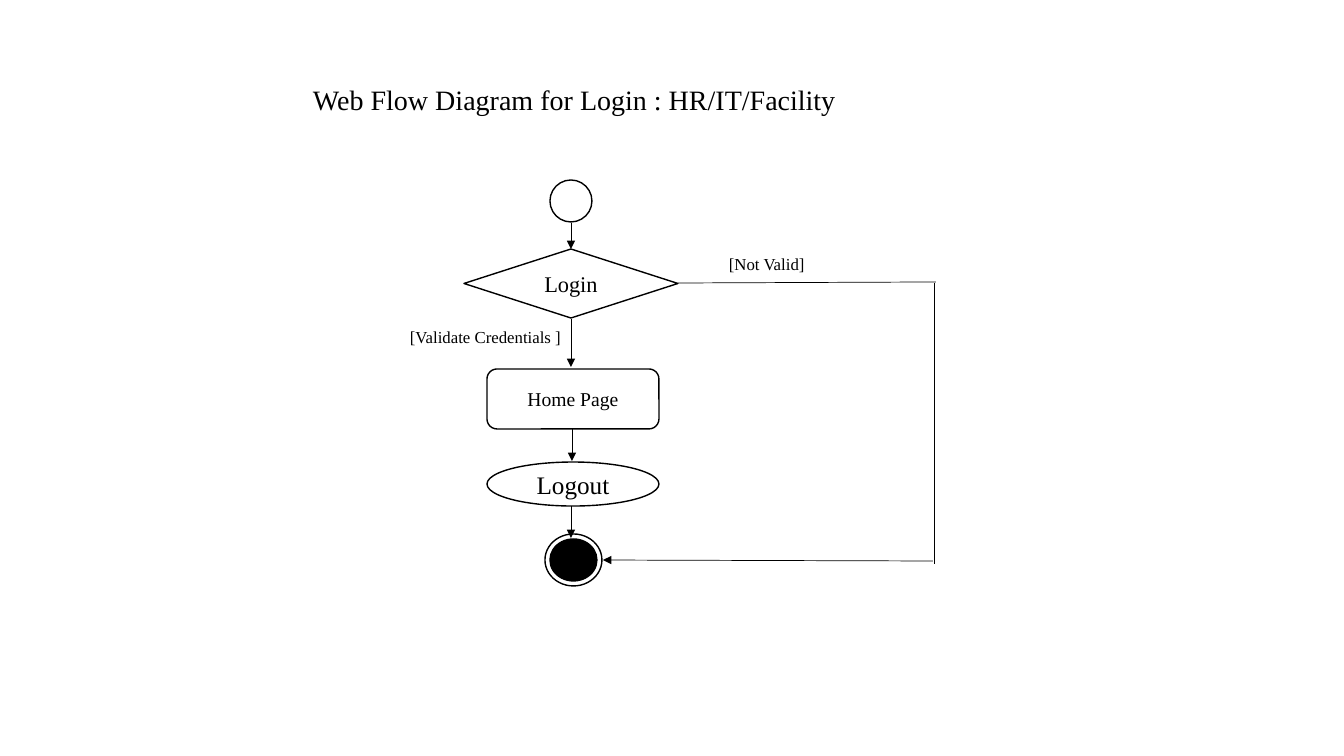
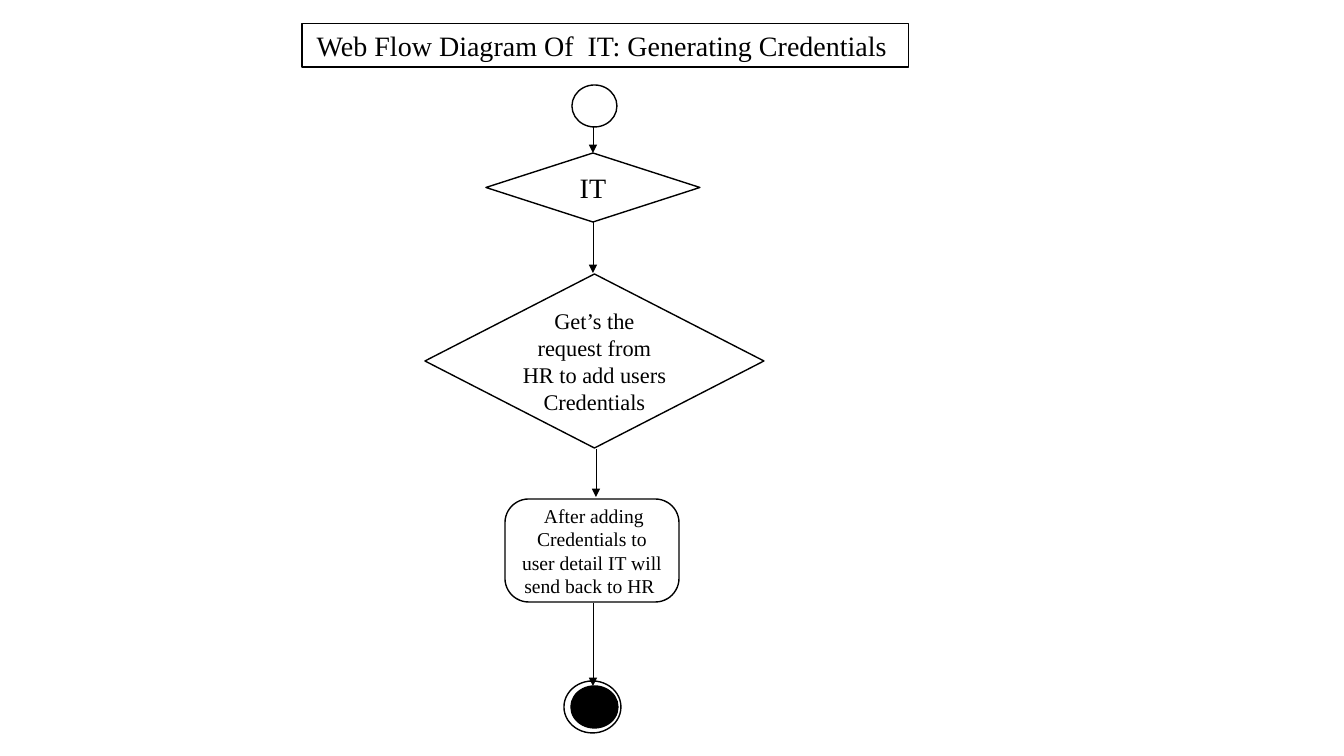
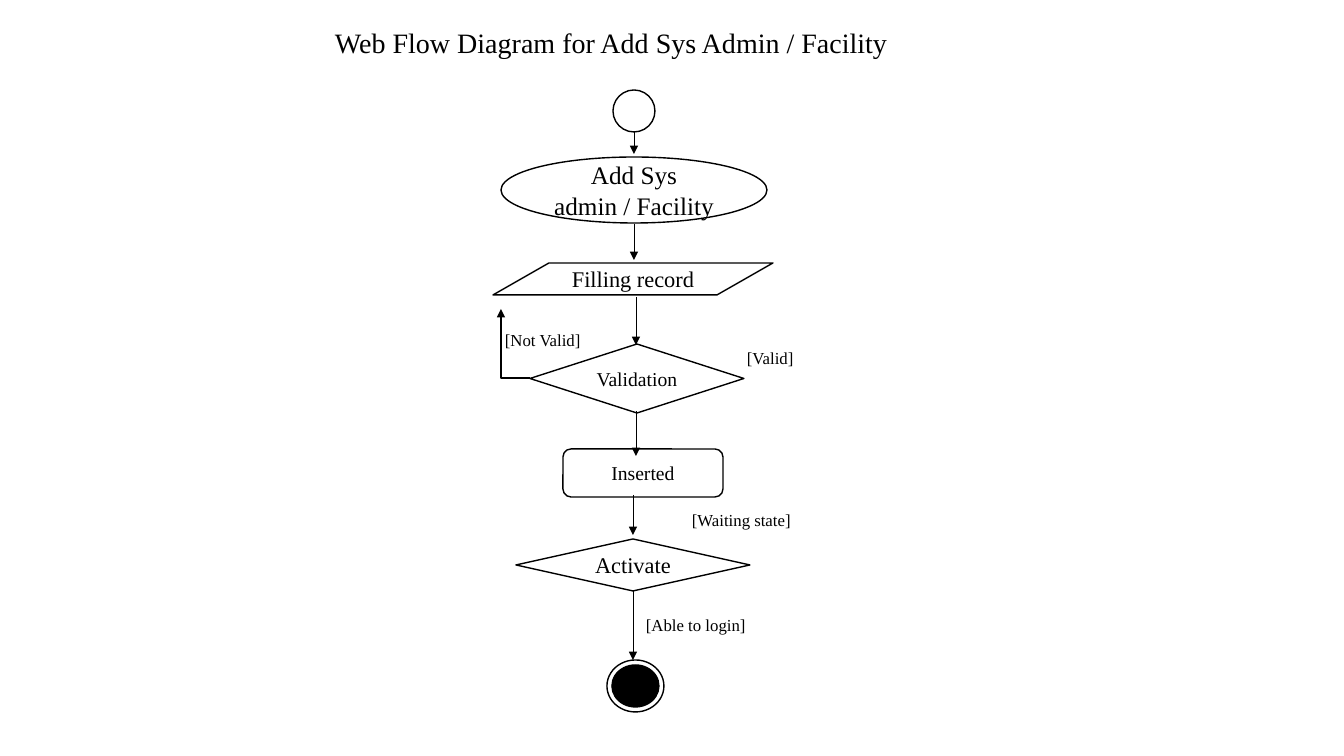
from lxml import etree
from pptx import Presentation
from pptx.dml.color import RGBColor
from pptx.enum.shapes import MSO_CONNECTOR, MSO_SHAPE
from pptx.enum.text import MSO_ANCHOR, MSO_AUTO_SIZE, PP_ALIGN
from pptx.oxml.ns import qn
from pptx.util import Emu, Pt

STRAIGHT, ELBOW = MSO_CONNECTOR.STRAIGHT, MSO_CONNECTOR.ELBOW
CIRCLE, ELLIPSE = MSO_SHAPE.FLOWCHART_CONNECTOR, MSO_SHAPE.OVAL
DIAMOND, RECT = MSO_SHAPE.DIAMOND, MSO_SHAPE.RECTANGLE
ROUNDED, DATA = MSO_SHAPE.ROUNDED_RECTANGLE, MSO_SHAPE.FLOWCHART_DATA
MIDDLE, TOP = MSO_ANCHOR.MIDDLE, MSO_ANCHOR.TOP
CENTER, LEFT = PP_ALIGN.CENTER, PP_ALIGN.LEFT
GROW = MSO_AUTO_SIZE.SHAPE_TO_FIT_TEXT

PIXELS_PER_INCH = 100.8
BLANK_LAYOUT = 6


def px(value):
    """Turn pixels into EMU."""
    return Emu(round(value * 914400 / PIXELS_PER_INCH))


def color(hex_string):
    """Turn a hex string into a colour."""
    return RGBColor.from_string(hex_string)


class FlowDeck:
    """Holds the flow diagram style and the current slide."""

    font = "Times New Roman"
    ink, paper = "000000", "FFFFFF"
    title_size, label_size = 20, 12
    title_width, title_height = 607, 44
    outline, thin = 1, 0.5

    def __init__(self, width, height):
        """Start an empty presentation."""
        self.prs = Presentation()
        self.prs.slide_width, self.prs.slide_height = px(width), px(height)
        self.s = None

    def slide(self):
        """Add a blank slide and make it current."""
        self.s = self.prs.slides.add_slide(self.prs.slide_layouts[BLANK_LAYOUT])

    def put_text(self, shape, text, size, align=CENTER, anchor=MIDDLE, wrap=True):
        """Put one run of text into a shape."""
        tf = shape.text_frame
        tf.word_wrap, tf.vertical_anchor = wrap, anchor
        p = tf.paragraphs[0]
        p.alignment = align
        r = p.add_run()
        r.text = text
        r.font.name, r.font.size = self.font, Pt(size)
        r.font.color.rgb = color(self.ink)

    def node(self, kind, x, y, w, h, text="", size=16, fill=paper, line=outline):
        """Draw an outlined shape with optional centred text."""
        sp = self.s.shapes.add_shape(kind, px(x), px(y), px(w), px(h))
        sp.shadow.inherit = False
        if fill:
            sp.fill.solid()
            sp.fill.fore_color.rgb = color(fill)
        else:
            sp.fill.background()
        sp.line.color.rgb = color(self.ink)
        sp.line.width = Pt(line)
        if text:
            self.put_text(sp, text, size)
        return sp

    def decision(self, x, y, w, h, text, size):
        """Draw an unfilled diamond."""
        self.node(DIAMOND, x, y, w, h, text, size, fill=None)

    def start(self, x, y, w=42):
        """Draw the open start circle."""
        self.node(ELLIPSE, x, y, w, 42)

    def end(self, x, y, gap=5):
        """Draw the end ring with its solid disc."""
        self.node(CIRCLE, x, y, 57, 52)
        self.node(CIRCLE, x + gap, y + 5, 47, 42, fill=self.ink)

    def textbox(self, x, y, w, h, text, size, wrap):
        """Add a left-aligned text box that grows with its text."""
        sp = self.s.shapes.add_textbox(px(x), px(y), px(w), px(h))
        self.put_text(sp, text, size, LEFT, TOP, wrap)
        sp.text_frame.auto_size = GROW

    def title(self, x, y, text):
        """Add a plain slide title."""
        self.textbox(x, y, self.title_width, self.title_height, text,
                     self.title_size, True)

    def framed_title(self, x, y, text):
        """Add a centred slide title in a frame."""
        self.node(RECT, x, y, self.title_width, self.title_height, text,
                  self.title_size, fill=None, line=0.75)

    def label(self, x, y, w, text):
        """Add a condition label on one line."""
        self.textbox(x, y, w, 30, text, self.label_size, False)

    def line(self, x0, y0, x1, y1, arrow=False, kind=STRAIGHT, width=thin):
        """Draw a connector, with an arrowhead at its end if asked."""
        c = self.s.shapes.add_connector(kind, px(x0), px(y0), px(x1), px(y1))
        c.line.color.rgb = color(self.ink)
        c.line.width = Pt(width)
        properties = c._element.spPr
        if arrow:
            etree.SubElement(properties.find(qn("a:ln")), qn("a:tailEnd"),
                             type="triangle")
        etree.SubElement(properties, qn("a:effectLst"))
        return c

    def corner_arrow(self, x0, y0, x1, y1):
        """Draw an arrow that runs sideways, then turns once."""
        c = self.line(x0, y0, x1, y1, True, ELBOW, self.outline)
        c._element.spPr.find(qn("a:prstGeom")).set("prst", "bentConnector2")

    def down_arrows(self, *arrows):
        """Draw vertical arrows given as (x, top, bottom)."""
        for x, top, bottom in arrows:
            self.line(x, top, x, bottom, arrow=True)


def login_slide(deck):
    """Build the login flow."""
    deck.slide()
    deck.title(303, 78, "Web Flow Diagram for Login : HR/IT/Facility")
    deck.start(550, 180)
    deck.decision(464, 249, 214, 69, "Login", 16)
    deck.node(ROUNDED, 487, 369, 172, 60, "Home Page", 14)
    deck.node(ELLIPSE, 487, 462, 172, 44, "Logout", 18)
    deck.end(545, 534)
    deck.label(719, 249, 97, "[Not Valid]")
    deck.label(400, 322, 173, "[Validate Credentials ]")
    deck.down_arrows((571, 223, 249), (571, 319, 367), (572, 429, 461),
                     (571, 506, 538))
    deck.line(678, 283, 936, 282)
    deck.line(934, 283, 934, 564)
    deck.line(933, 561, 603, 560, arrow=True)


def credentials_slide(deck):
    """Build the credentials flow."""
    deck.slide()
    deck.framed_title(302, 23, "Web Flow Diagram Of  IT: Generating Credentials ")
    deck.start(572, 85, 45)
    deck.decision(486, 153, 214, 69, "IT", 20)
    deck.decision(425, 274, 339, 174,
                  "Get’s the request from HR to add users Credentials", 16)
    reply = deck.node(
        ROUNDED, 505, 499, 174, 103,
        " After adding Credentials to user detail IT will send back to HR ", 14)
    reply.adjustments[0] = 0.23
    deck.end(564, 681, gap=7)
    deck.down_arrows((593, 127, 153), (593, 222, 273), (596, 449, 497),
                     (593, 603, 686))


def add_admin_slide(deck):
    """Build the flow for adding an administrator."""
    deck.slide()
    deck.title(325, 21, "Web Flow Diagram for Add Sys Admin / Facility")
    deck.start(613, 90)
    deck.node(ELLIPSE, 501, 157, 266, 66, "Add Sys admin / Facility", 18)
    deck.node(DATA, 493, 263, 280, 32, "Filling record", 16)
    deck.decision(530, 344, 214, 69, "Validation", 14)
    deck.node(ROUNDED, 563, 449, 160, 48, "Inserted", 14)
    deck.decision(516, 539, 234, 52, "Activate", 16)
    deck.end(607, 660)
    deck.label(495, 325, 97, "[Not Valid]")
    deck.label(737, 343, 68, "[Valid]")
    deck.label(682, 505, 121, "[Waiting state]")
    deck.label(636, 610, 121, "[Able to login]")
    deck.down_arrows((634, 132, 154), (634, 224, 260), (636, 297, 345),
                     (636, 411, 456), (633, 495, 535), (633, 591, 660))
    deck.corner_arrow(530, 378, 501, 309)


deck = FlowDeck(1344, 756)
login_slide(deck)
credentials_slide(deck)
add_admin_slide(deck)
deck.prs.save("out.pptx")
